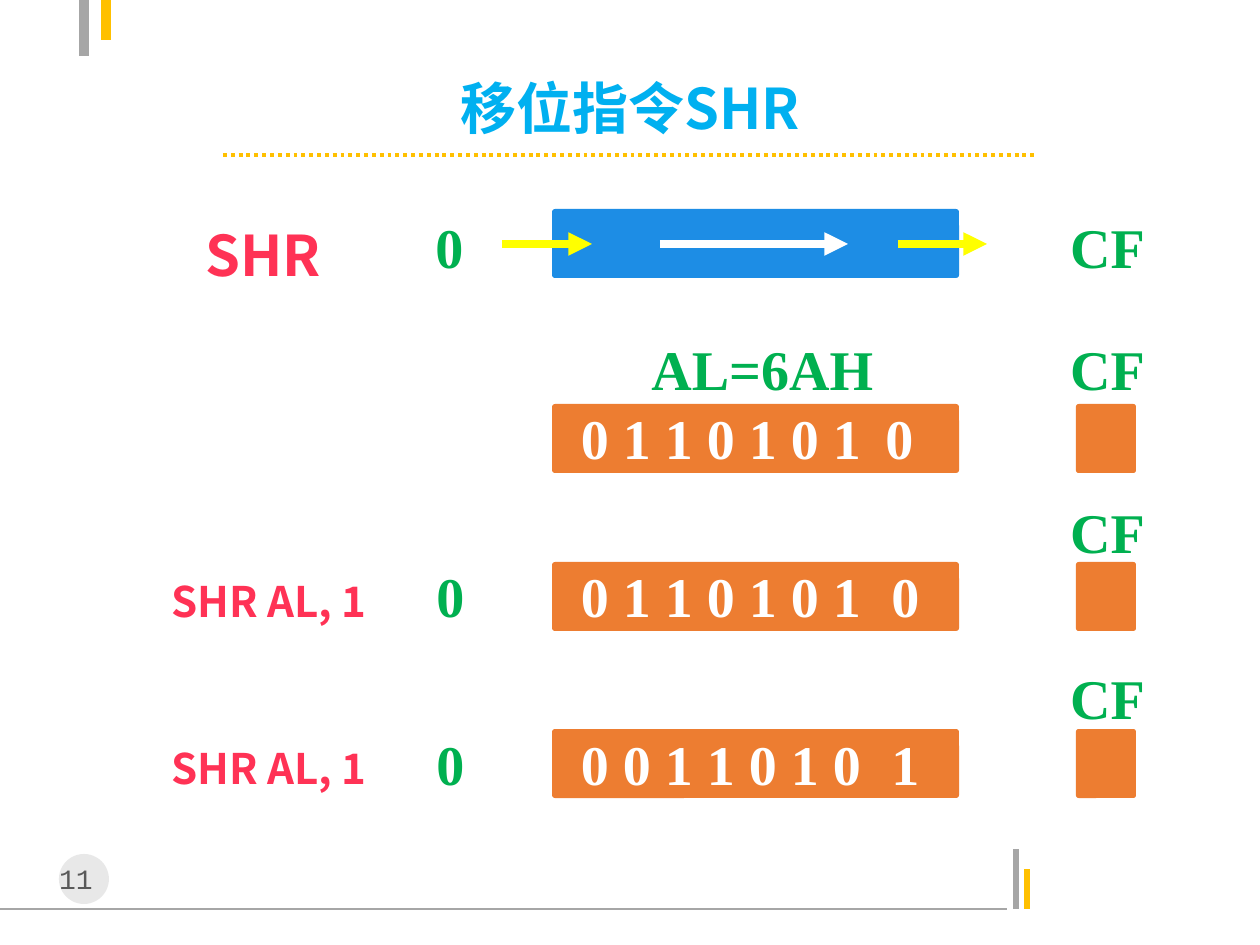
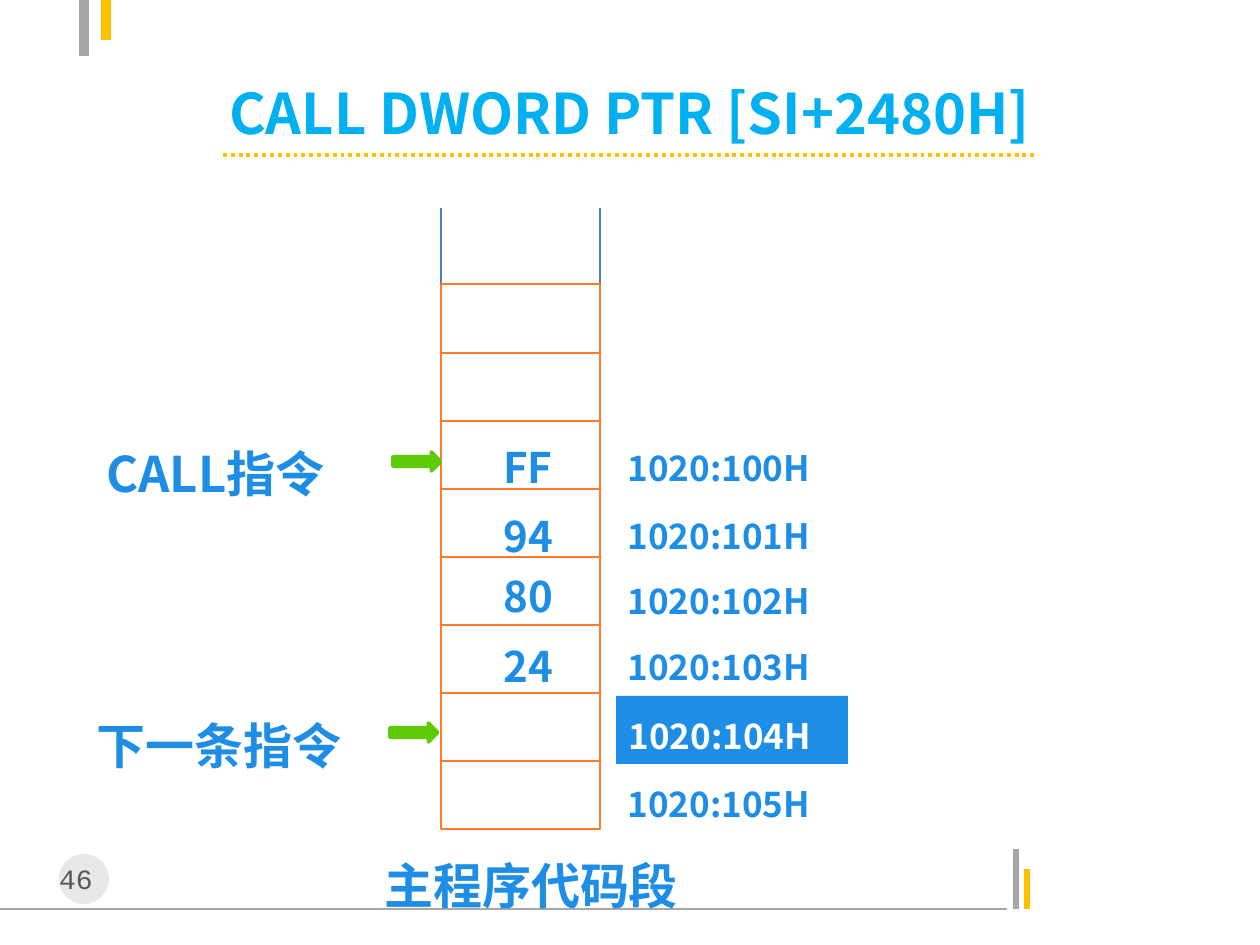
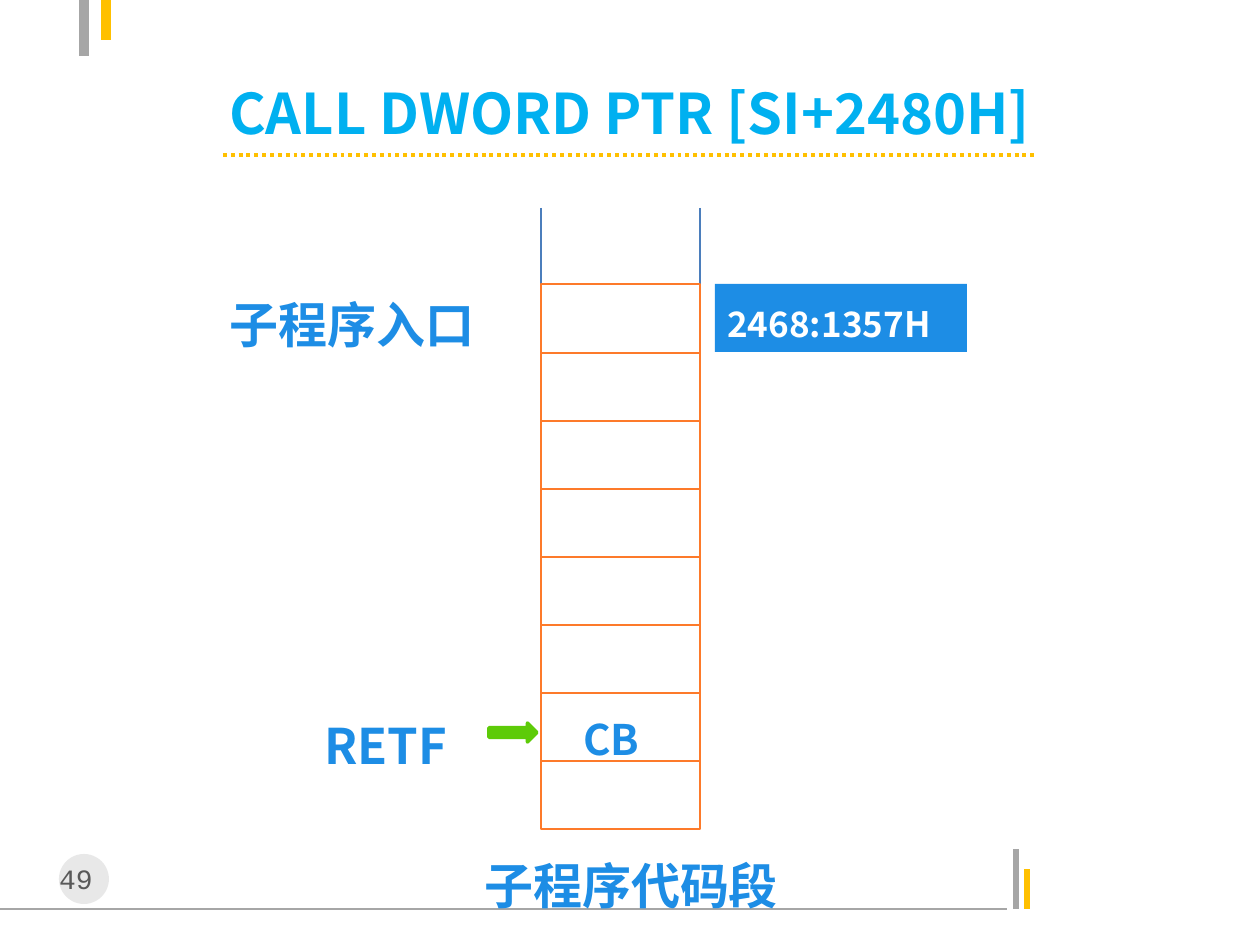
from lxml import etree
from pptx import Presentation
from pptx import util as u
from pptx.dml.color import RGBColor
from pptx.enum import dml, shapes, text
from pptx.oxml import ns

GREY = RGBColor(0xA6, 0xA6, 0xA6)
DISC_GREY = RGBColor(0xBF, 0xBF, 0xBF)
NUMBER_GREY = RGBColor(0x59, 0x59, 0x59)
GOLD = RGBColor(0xFF, 0xC0, 0x00)
SKY = RGBColor(0x00, 0xB0, 0xF0)
BLUE = RGBColor(0x1D, 0x8D, 0xE5)
RAIL_BLUE = RGBColor(0x4B, 0x7E, 0xBC)
ORANGE = RGBColor(0xED, 0x7D, 0x31)
CELL_ORANGE = RGBColor(0xFD, 0x7A, 0x2A)
GREEN = RGBColor(0x00, 0xB0, 0x50)
ARROW_GREEN = RGBColor(0x5D, 0xCB, 0x08)
RED = RGBColor(0xFF, 0x32, 0x55)
YELLOW = RGBColor(0xFF, 0xFF, 0x00)
WHITE = RGBColor(0xFF, 0xFF, 0xFF)

SANS = "Noto Sans CJK SC"
SERIF = "Times New Roman"
MONO = "Courier New"
SHAPE = shapes.MSO_SHAPE
CENTER = text.PP_ALIGN.CENTER
LEFT = text.PP_ALIGN.LEFT
MIDDLE = text.MSO_ANCHOR.MIDDLE
TOP = text.MSO_ANCHOR.TOP

EMU_PER_PX = 914400 / 126
SLIDE_SIZE = (1260, 945)
CELL_COUNT, CELL_PITCH, CELL_WIDTH, CELL_HEIGHT = 8, 68, 159, 69


def px(length):
    return u.Emu(round(length * EMU_PER_PX))


def px_box(box):
    return [px(length) for length in box]


def write(frame, words, size, color, font=SANS, bold=True, align=LEFT,
          anchor=TOP, spacing=None, after=0, wrap=True):
    frame.auto_size = text.MSO_AUTO_SIZE.NONE
    frame.word_wrap = wrap
    frame.vertical_anchor = anchor
    paragraph = frame.paragraphs[0]
    paragraph.alignment = align
    paragraph.space_before = u.Pt(0)
    paragraph.space_after = u.Pt(after)
    if spacing:
        paragraph.line_spacing = spacing
    run = paragraph.add_run()
    run.text = words
    run.font.size = u.Pt(size)
    run.font.bold = bold
    run.font.color.rgb = color
    run.font.name = font
    east_asian = etree.SubElement(run.font._element, ns.qn("a:ea"))
    east_asian.set("typeface", font)


def add_label(slide, box, words, size, color, **style):
    label = slide.shapes.add_textbox(*px_box(box))
    write(label.text_frame, words, size, color, **style)
    return label


def add_code(slide, box, words, size=28, color=BLUE):
    add_label(slide, box, words, size, color, spacing=1.3, after=0.6)


def add_digits(slide, box, words, color):
    frame = add_label(slide, box, words, 32, color, font=SERIF,
                      align=CENTER, wrap=False).text_frame
    frame.margin_left, frame.margin_right = px(3), px(1)
    frame.margin_top = frame.margin_bottom = 0


def add_block(slide, kind, box, fill, outline=None, width=0.75):
    block = slide.shapes.add_shape(kind, *px_box(box))
    block.shadow.inherit = False
    block.fill.solid()
    block.fill.fore_color.rgb = fill
    if outline is None:
        block.line.fill.background()
    else:
        block.line.color.rgb = outline
        block.line.width = u.Pt(width)
    return block


def add_line(slide, start, end, color, width, arrow=False, dash=None):
    line = slide.shapes.add_connector(shapes.MSO_CONNECTOR.STRAIGHT,
                                      *px_box(start + end))
    line.line.color.rgb = color
    line.line.width = u.Pt(width)
    if dash:
        line.line.dash_style = dash
    if arrow:
        tip = etree.SubElement(line.line._get_or_add_ln(), ns.qn("a:tailEnd"))
        tip.set("type", "triangle")
    etree.SubElement(line._element.spPr, ns.qn("a:effectLst"))


def add_footer(slide, number, left, base):
    add_line(slide, (left, base), (left + 1007, base), GREY, 0.75)
    add_line(slide, (left + 1016, base), (left + 1016, base - 60), GREY, 3)
    add_line(slide, (left + 1027, base), (left + 1027, base - 40), GOLD, 3)
    disc = add_block(slide, SHAPE.OVAL, (left + 59, base - 55, 50, 50), DISC_GREY)
    color = disc.fill._xPr.find(ns.qn("a:solidFill"))[0]
    etree.SubElement(color, ns.qn("a:alpha")).set("val", "35000")
    add_label(slide, (left + 31, base - 54, 90, 47), str(number), 16, NUMBER_GREY,
              font=MONO, bold=False, align=CENTER)


def start_slide(deck, heading, number, spacing=None):
    slide = deck.slides.add_slide(deck.slide_layouts[5])
    title = slide.shapes.title
    title.left, title.top, title.width, title.height = px_box((174, 76, 912, 63))
    write(title.text_frame, heading, 32, SKY, align=CENTER, anchor=MIDDLE,
          spacing=spacing, wrap=False)
    add_line(slide, (84, 0), (84, 56), GREY, 6)
    add_line(slide, (106, 0), (106, 40), GOLD, 6)
    add_line(slide, (223, 155), (1037, 155), GOLD, 2.25,
             dash=dml.MSO_LINE.ROUND_DOT)
    add_footer(slide, number, 0, 909)
    return slide


def add_register(slide, left, top, width, fill):
    register = add_block(slide, SHAPE.ROUNDED_RECTANGLE, (left, top, width, 69), fill)
    register.adjustments[0] = 0.044


def add_shift_rule(slide, left, top):
    add_register(slide, left, top, 407, BLUE)
    middle = top + 35
    for start, end, color in [(-50, 40, YELLOW), (108, 296, WHITE), (346, 435, YELLOW)]:
        add_line(slide, (left + start, middle), (left + end, middle), color, 4.5,
                 arrow=True)
    add_label(slide, (left - 413, top - 2, 248, 84), "SHR", 32, RED, align=CENTER,
              anchor=MIDDLE, spacing=1.14)
    add_digits(slide, (left - 126, top + 3, 45, 54), "0", GREEN)
    add_digits(slide, (left + 485, top + 3, 139, 54), "CF", GREEN)


def add_shift_state(slide, left, top, bits, last_bit, carry_rise, last_left):
    add_register(slide, left, top, 407, ORANGE)
    add_register(slide, left + 524, top, 60, ORANGE)
    add_digits(slide, (left - 12, top, 360, 54), bits, WHITE)
    add_digits(slide, (left + last_left, top, 45, 54), last_bit, WHITE)
    add_digits(slide, (left + 485, top - carry_rise, 139, 54), "CF", GREEN)


def add_shift_command(slide, left, top):
    add_label(slide, (left - 407, top, 248, 70), "SHR AL, 1", 24, RED, align=CENTER,
              anchor=MIDDLE, spacing=1.14)
    add_digits(slide, (left - 125, top, 45, 54), "0", GREEN)


def add_memory(slide, left, top, caption):
    for side in (left, left + CELL_WIDTH):
        add_line(slide, (side, top - 76), (side, top + 545), RAIL_BLUE, 0.75)
    for row in reversed(range(CELL_COUNT)):
        cell = (left, top + row * CELL_PITCH, CELL_WIDTH, CELL_HEIGHT)
        add_block(slide, SHAPE.RECTANGLE, cell, WHITE, CELL_ORANGE)
    add_code(slide, (left - 69, top + 548, 350, 85), caption)


def add_pointer(slide, left, top):
    add_block(slide, SHAPE.RIGHT_ARROW, (left, top, 48, 19), ARROW_GREEN,
              ARROW_GREEN, 2)


def add_marked_address(slide, box, address):
    mark = add_block(slide, SHAPE.RECTANGLE, box, BLUE)
    write(mark.text_frame, address, 20, WHITE, spacing=1.3, after=0.6)


def build_shift_slide(deck):
    slide = start_slide(deck, "移位指令SHR", 11)
    left = 552
    add_shift_rule(slide, left, 209)
    add_digits(slide, (left + 140, 334, 139, 54), "AL=6AH", GREEN)
    add_shift_state(slide, left, 404, "0 1 1 0 1 0 1", "0", 70, 324)
    for top, bits, last_bit in [(562, "0 1 1 0 1 0 1", "0"),
                                (729, "0 0 1 1 0 1 0", "1")]:
        add_shift_state(slide, left, top, bits, last_bit, 65, 330)
        add_shift_command(slide, left, top)


def build_main_program_slide(deck):
    slide = start_slide(deck, "CALL DWORD PTR [SI+2480H]", 46, 1.14)
    left = 441
    add_memory(slide, left, 284, "主程序代码段")
    for top, value in [(420, "FF"), (489, "94"), (549, "80"), (619, "24")]:
        add_code(slide, (left + 50, top, 79, 79), value, 24)
    for top, address in [(428, "1020:100H"), (496, "1020:101H"), (561, "1020:102H"),
                         (627, "1020:103H"), (764, "1020:105H")]:
        add_code(slide, (left + 174, top, 295, 63), address, 20)
    add_marked_address(slide, (left + 175, 696, 232, 68), "1020:104H")
    add_pointer(slide, left - 48, 452)
    add_code(slide, (left - 347, 420, 287, 85), "CALL指令")
    add_pointer(slide, left - 51, 723)
    add_code(slide, (left - 357, 692, 287, 85), "下一条指令")


def build_subprogram_slide(deck):
    slide = start_slide(deck, "CALL DWORD PTR [SI+2480H]", 49, 1.14)
    left = 541
    add_memory(slide, left, 284, "子程序代码段")
    add_marked_address(slide, (left + 174, 284, 252, 68), "2468:1357H")
    add_code(slide, (left - 324, 271, 350, 85), "子程序入口")
    add_code(slide, (left + 30, 692, 99, 79), "CB", 24)
    add_pointer(slide, left - 52, 723)
    add_code(slide, (left - 229, 692, 159, 85), "RETF")


def main():
    deck = Presentation()
    deck.slide_width, deck.slide_height = px_box(SLIDE_SIZE)
    build_shift_slide(deck)
    build_main_program_slide(deck)
    build_subprogram_slide(deck)
    deck.save("out.pptx")


if __name__ == "__main__":
    main()
